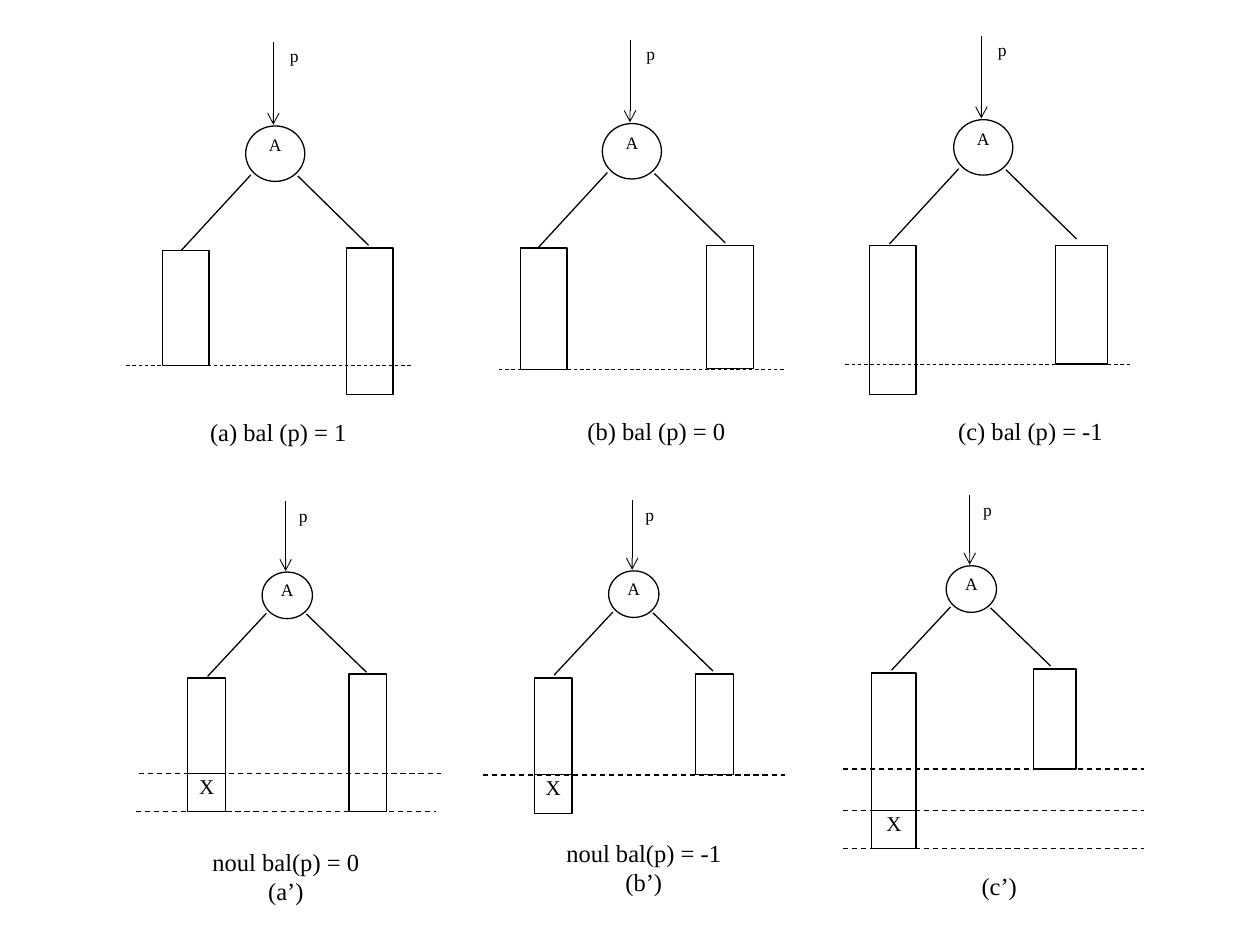
from typing import NamedTuple
from lxml import etree
from pptx import Presentation
from pptx import util as u
from pptx.dml.color import RGBColor
from pptx.enum import dml, shapes, text
from pptx.oxml import ns

"""Draw six balanced-tree diagrams, before and after an insertion."""

HUE = {"ink": "000000", "paper": "FFFFFF"}
FONT = "Times New Roman"
KIND = shapes.MSO_SHAPE
RECT, PROC, NODE = KIND.RECTANGLE, KIND.FLOWCHART_PROCESS, KIND.FLOWCHART_CONNECTOR


class Box(NamedTuple):
    x: float
    y: float
    w: float
    h: float


class Bar(NamedTuple):
    box: Box
    kind: shapes.MSO_SHAPE = PROC
    word: str = ""


class Level(NamedTuple):
    x: float
    y: float
    w: float


class Tree(NamedTuple):
    x: float
    y: float
    bars: list[Bar]
    levels: list[Level]
    note: Box
    lines: list[str]


def tint(name: str) -> RGBColor:
    return RGBColor.from_string(HUE[name])


def write(frame, lines: list[str], size: float, inset: float = 0) -> None:
    frame.word_wrap = True
    frame.vertical_anchor = text.MSO_ANCHOR.TOP
    frame.margin_left = frame.margin_right = u.Pt(inset)
    frame.margin_top = frame.margin_bottom = u.Pt(inset)
    frame.text = "\n".join(lines)
    for para in frame.paragraphs:
        para.alignment = text.PP_ALIGN.CENTER
        para.font.name, para.font.size = FONT, u.Pt(size)
        para.font.color.rgb = tint("ink")


def block(slide, kind, box: Box, edge: bool = True):
    item = slide.shapes.add_shape(kind, *map(u.Pt, box))
    item.shadow.inherit = False
    item.fill.solid()
    item.fill.fore_color.rgb = tint("paper")
    if edge:
        item.line.color.rgb = tint("ink")
        item.line.width = u.Pt(0.75)
    else:
        item.line.fill.background()
    return item


def stroke(slide, ends: tuple, width: float = 0.75, dash: bool = False, tip: bool = False) -> None:
    link = slide.shapes.add_connector(shapes.MSO_CONNECTOR.STRAIGHT, *map(u.Pt, ends))
    link.line.color.rgb = tint("ink")
    link.line.width = u.Pt(width)
    if dash:
        link.line.dash_style = dml.MSO_LINE.DASH
    if tip:
        etree.SubElement(link.line._get_or_add_ln(), ns.qn("a:tailEnd"), type="arrow")
    etree.SubElement(link._element.spPr, ns.qn("a:effectLst"))


def draw(slide, tree: Tree, wide: float, high: float, thin: float) -> None:
    def spot(x: float, y: float) -> tuple[float, float]:
        return tree.x + x * wide, tree.y + y * high

    for bar in tree.bars:
        item = block(slide, bar.kind, bar.box)
        if bar.word:
            write(item.text_frame, [bar.word], 12)
    name = block(slide, RECT, Box(*spot(10.8, -49), 33.8 * wide, 42 * high), False)
    write(name.text_frame, ["p"], 10, 2.88)
    node = block(slide, NODE, Box(tree.x, tree.y, 33.8 * wide, 31.7 * high))
    write(node.text_frame, ["A"], 10)
    stroke(slide, spot(2.9, 28) + spot(-36.7, 71))
    stroke(slide, spot(29.8, 28.6) + spot(70.2, 68.2))
    stroke(slide, spot(15.8, -48) + spot(15.8, -0.7), 0.5, tip=True)
    for level in tree.levels:
        stroke(slide, (level.x, level.y, level.x + level.w, level.y), thin, dash=True)
    note = slide.shapes.add_textbox(*map(u.Pt, tree.note))
    write(note.text_frame, tree.lines, 14)


OLD = [
    Tree(140.4, 72,
         [Bar(Box(92.9, 143.3, 26.6, 65.5), RECT), Bar(Box(198, 141.8, 26.6, 83.5))],
         [Level(72, 208.8, 163.4)],
         Box(102.2, 238.3, 113.8, 32), ["(a) bal (p) = 1"]),
    Tree(344.2, 70.6,
         [Bar(Box(297.4, 141.8, 26.6, 69.2), RECT), Bar(Box(403.9, 140.4, 26.6, 70))],
         [Level(285.1, 211, 163.4)],
         Box(318.2, 237.6, 113.8, 32), ["(b) bal (p) = 0"]),
    Tree(545, 68.4,
         [Bar(Box(496.8, 140.4, 26.6, 85)), Bar(Box(603.2, 140.4, 29.5, 67.7), RECT)],
         [Level(483.1, 208.1, 163.4)],
         Box(529.9, 237.6, 118, 32), ["(c) bal (p) = -1"]),
]
NEW = [
    Tree(149.8, 326.9,
         [Bar(Box(107.3, 387.4, 21.6, 54.7)), Bar(Box(107.3, 442.1, 21.6, 21.6), RECT, "X"),
          Bar(Box(199.4, 385.2, 21.6, 78.5))],
         [Level(77.8, 463.7, 171.3), Level(79.2, 442.1, 172.8)],
         Box(102.2, 483.8, 122.4, 50.4), ["noul bal(p) = 0", "(a’)"]),
    Tree(347.8, 326.2,
         [Bar(Box(305.3, 387.4, 21.6, 55.4)), Bar(Box(305.3, 442.8, 21.6, 22), RECT, "X"),
          Bar(Box(397.4, 385.2, 21.6, 57.6))],
         [Level(275.8, 442.8, 172.8)],
         Box(306.7, 478.8, 122.4, 50.4), ["noul bal(p) = -1", "(b’)"]),
    Tree(540.7, 323.3,
         [Bar(Box(498.2, 384.5, 25.2, 95)), Bar(Box(498.2, 463, 25.2, 22), RECT, "X"),
          Bar(Box(590.4, 382.3, 24.5, 57.2))],
         [Level(481.7, y, 172) for y in (439.4, 463, 484.7)],
         Box(553, 497.5, 36, 30.2), ["(c’)"]),
]


def main() -> None:
    deck = Presentation()
    deck.slide_width, deck.slide_height = u.Pt(720), u.Pt(540)
    slide = deck.slides.add_slide(deck.slide_layouts[6])
    for tree in OLD:
        draw(slide, tree, 1, 1, 0.5)
    for tree in NEW:
        draw(slide, tree, 0.85, 0.84, 0.75)
    deck.save("out.pptx")


if __name__ == "__main__":
    main()
